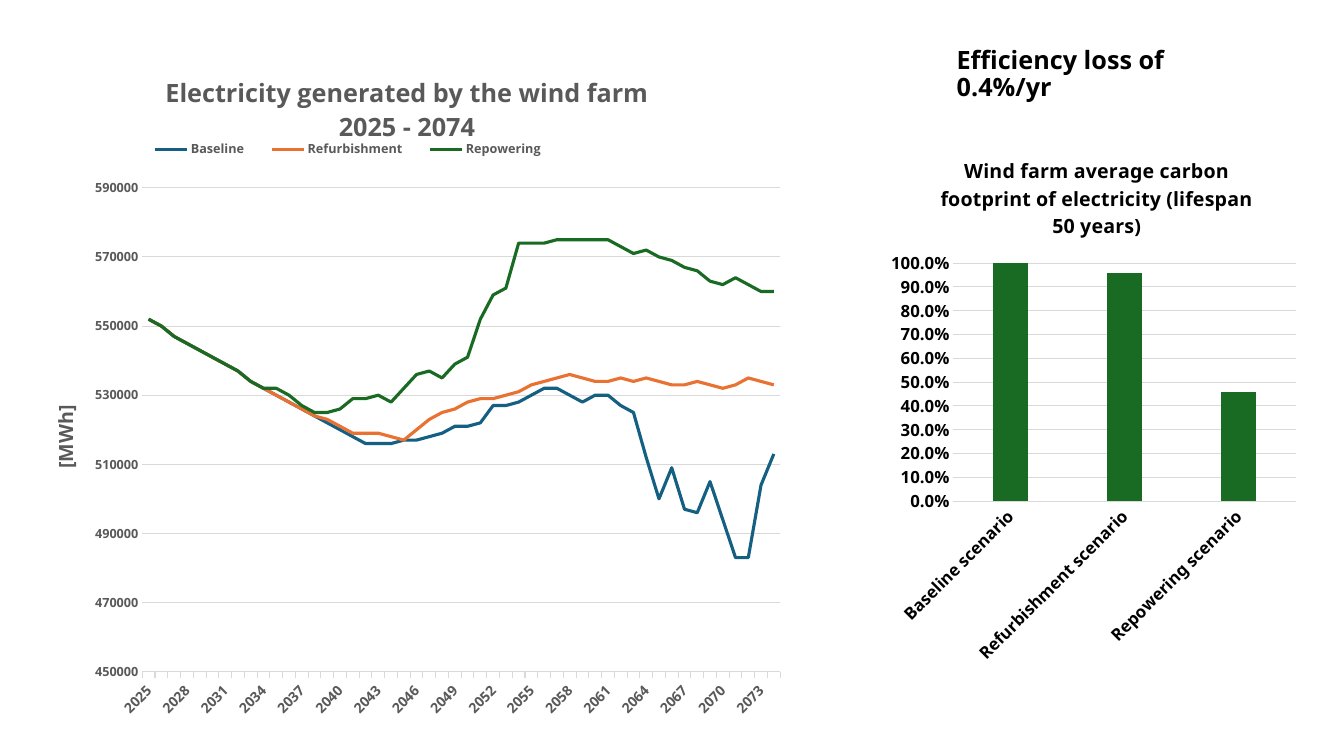
from dataclasses import dataclass

from lxml import etree
from pptx import Presentation
from pptx.chart.data import CategoryChartData
from pptx.dml.color import RGBColor
from pptx.enum import chart as chart_enum
from pptx.oxml.ns import qn
from pptx.util import Inches, Pt


@dataclass(frozen=True)
class Theme:
    black: RGBColor = RGBColor(0, 0, 0)
    gray: RGBColor = RGBColor.from_string("595959")
    grid: RGBColor = RGBColor.from_string("D9D9D9")
    blue: RGBColor = RGBColor.from_string("156082")
    orange: RGBColor = RGBColor.from_string("E97132")
    green: RGBColor = RGBColor.from_string("196B24")
    heading: int = 18
    subheading: int = 14
    label: int = 12
    year: int = 10
    small: int = 9
    chart_font: str = "Open Sans"
    text_font: str = "Noto Sans"


THEME = Theme()

YEARS = [str(year) for year in range(2025, 2075)]
SHARED_GWH = [552, 550, 547, 545, 543, 541, 539, 537, 534, 532]
SCENARIOS_GWH = {
    "Baseline": (THEME.blue, [
        530, 528, 526, 524, 522, 520, 518, 516, 516, 516,
        517, 517, 518, 519, 521, 521, 522, 527, 527, 528,
        530, 532, 532, 530, 528, 530, 530, 527, 525, 512,
        500, 509, 497, 496, 505, 494, 483, 483, 504, 513]),
    "Refurbishment": (THEME.orange, [
        530, 528, 526, 524, 523, 521, 519, 519, 519, 518,
        517, 520, 523, 525, 526, 528, 529, 529, 530, 531,
        533, 534, 535, 536, 535, 534, 534, 535, 534, 535,
        534, 533, 533, 534, 533, 532, 533, 535, 534, 533]),
    "Repowering": (THEME.green, [
        532, 530, 527, 525, 525, 526, 529, 529, 530, 528,
        532, 536, 537, 535, 539, 541, 552, 559, 561, 574,
        574, 574, 575, 575, 575, 575, 575, 573, 571, 572,
        570, 569, 567, 566, 563, 562, 564, 562, 560, 560]),
}
FOOTPRINT = {
    "Baseline scenario": 1,
    "Refurbishment scenario": 0.96,
    "Repowering scenario": 0.46,
}


def apply(target, values):
    for name, value in values.items():
        setattr(target, name, value)


def style_font(font, face, size, color):
    apply(font, {"name": face, "size": Pt(size), "bold": True})
    font.color.rgb = color


def style_line(line, color, width):
    line.color.rgb = color
    line.width = Pt(width)


def place(element, x, y, width=None, height=None):
    """Set a manual layout, in fractions of the chart frame."""
    for old in element.findall(qn("c:layout")):
        element.remove(old)
    layout = etree.Element(qn("c:layout"))
    manual = etree.SubElement(layout, qn("c:manualLayout"))
    settings = {"xMode": "edge", "yMode": "edge", "x": x, "y": y, "w": width, "h": height}
    if element.tag == qn("c:plotArea"):
        settings = {"layoutTarget": "inner", **settings}
    for name, value in settings.items():
        if value is not None:
            etree.SubElement(manual, qn(f"c:{name}"), val=str(value))
    leading = element.findall(qn("c:tx")) + element.findall(qn("c:legendPos"))
    element.insert(len(leading), layout)


def set_title(owner, lines, face, size, color, position):
    """Title a chart or an axis, one paragraph for each line."""
    owner.has_title = True
    title = owner.chart_title if hasattr(owner, "chart_title") else owner.axis_title
    frame = title.text_frame
    frame.text = "\n".join(lines)
    for paragraph in frame.paragraphs:
        style_font(paragraph.font, face, size, color)
        for run in paragraph.runs:
            style_font(run.font, face, size, color)
    place(title._element, *position)


def style_axes(chart, face, color, category_size, value_size, tick_mark, scale):
    category, value = chart.category_axis, chart.value_axis
    apply(category, {"major_tick_mark": tick_mark,
                     "minor_tick_mark": chart_enum.XL_TICK_MARK.NONE})
    apply(value, {"major_tick_mark": chart_enum.XL_TICK_MARK.NONE,
                  "minor_tick_mark": chart_enum.XL_TICK_MARK.NONE,
                  "has_major_gridlines": True, **scale})
    style_font(category.tick_labels.font, face, category_size, color)
    style_font(value.tick_labels.font, face, value_size, color)
    style_line(category.format.line, THEME.grid, 0.75)
    style_line(value.major_gridlines.format.line, THEME.grid, 0.75)
    value.format.line.fill.background()
    body = category._element.find(qn("c:txPr")).find(qn("a:bodyPr"))
    body.set("rot", "-2700000")
    body.set("vert", "horz")


def add_chart(slide, kind, categories, series, box, face, size):
    data = CategoryChartData()
    data.categories = categories
    for name, values in series.items():
        data.add_series(name, values)
    frame = slide.shapes.add_chart(kind, *map(Inches, box), data)
    style_font(frame.chart.font, face, size, THEME.black)
    frame.chart.plots[0].vary_by_categories = False
    return frame.chart


def add_generation_chart(slide):
    series = {name: [1000 * value for value in SHARED_GWH + later]
              for name, (_, later) in SCENARIOS_GWH.items()}
    face = THEME.chart_font
    chart = add_chart(slide, chart_enum.XL_CHART_TYPE.LINE, YEARS, series,
                      (0.23, 0.42, 7.67, 6.84), face, THEME.year)
    set_title(chart, ["Electricity generated by the wind farm", "2025 - 2074"],
              face, THEME.heading, THEME.gray, (0.18, 0.04))
    style_axes(chart, face, THEME.gray, THEME.year, THEME.small,
               chart_enum.XL_TICK_MARK.OUTSIDE,
               {"minimum_scale": 450000, "maximum_scale": 600000, "major_unit": 20000})
    set_title(chart.value_axis, ["[MWh]"], face, THEME.subheading, THEME.gray, (0.03, 0.52))
    last_setting = chart.category_axis._element.find(qn("c:noMultiLvlLbl"))
    last_setting.addprevious(etree.Element(qn("c:tickLblSkip"), val="3"))

    for line, (color, _) in zip(chart.plots[0].series, SCENARIOS_GWH.values()):
        line.smooth = False
        line.marker.style = chart_enum.XL_MARKER_STYLE.NONE
        style_line(line.format.line, color, 2.25)

    chart.has_legend = True
    apply(chart.legend, {"position": chart_enum.XL_LEGEND_POSITION.TOP,
                         "include_in_layout": True})
    style_font(chart.legend.font, face, THEME.small, THEME.gray)
    place(chart.legend._element, 0.14, 0.14, 0.56, 0.03)
    place(chart._chartSpace.chart.plotArea, 0.154, 0.161, 0.825, 0.752)


def add_footprint_chart(slide):
    face = THEME.text_font
    chart = add_chart(slide, chart_enum.XL_CHART_TYPE.COLUMN_CLUSTERED, list(FOOTPRINT),
                      {"Series 1": list(FOOTPRINT.values())},
                      (8.75, 1.29, 4.18, 5.41), face, THEME.label)
    chart.has_legend = False
    set_title(chart, ["Wind farm average carbon footprint of electricity (lifespan 50 years)"],
              face, THEME.subheading, THEME.black, (0.13, 0.04))
    style_axes(chart, face, THEME.black, THEME.label, THEME.label,
               chart_enum.XL_TICK_MARK.NONE,
               {"minimum_scale": 0, "maximum_scale": 1, "major_unit": 0.1})
    apply(chart.value_axis.tick_labels,
          {"number_format": "0.0%", "number_format_is_linked": False})
    plot = chart.plots[0]
    apply(plot, {"gap_width": 219, "overlap": -27})
    fill = plot.series[0].format.fill
    fill.solid()
    fill.fore_color.rgb = THEME.green
    place(chart._chartSpace.chart.plotArea, 0.169, 0.244, 0.812, 0.437)


def add_heading(slide, content, box):
    frame = slide.shapes.add_textbox(*map(Inches, box)).text_frame
    frame.word_wrap = True
    paragraph = frame.paragraphs[0]
    paragraph.line_spacing = 0.9
    run = paragraph.add_run()
    run.text = content
    style_font(run.font, THEME.text_font, THEME.heading, THEME.black)


def main():
    presentation = Presentation()
    apply(presentation, {"slide_width": Inches(13.33), "slide_height": Inches(7.5)})
    slide = presentation.slides.add_slide(presentation.slide_layouts[6])
    add_generation_chart(slide)
    add_heading(slide, "Efficiency loss of 0.4%/yr", (9.39, 0.42, 3.07, 0.4))
    add_footprint_chart(slide)
    presentation.save("out.pptx")


if __name__ == "__main__":
    main()
